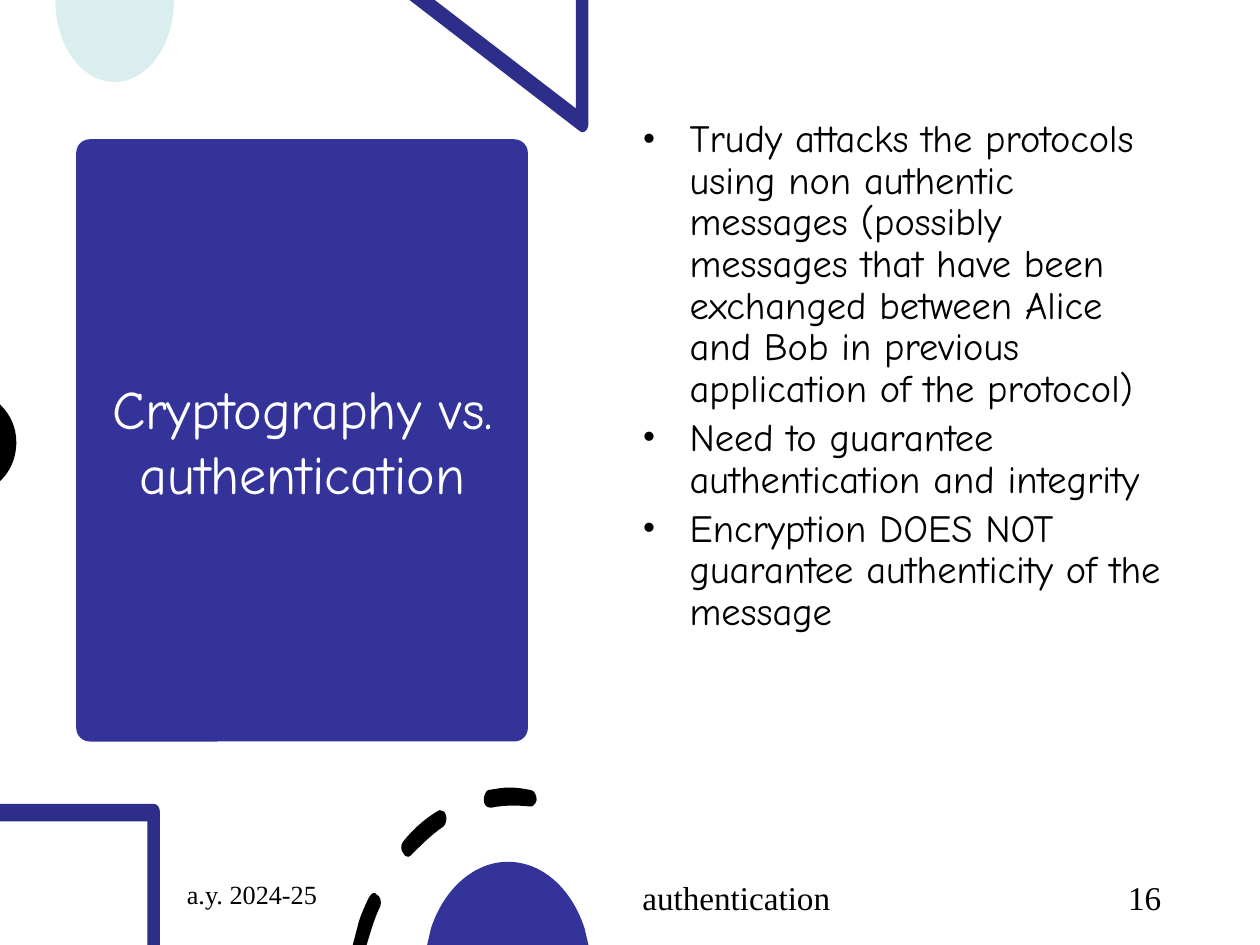
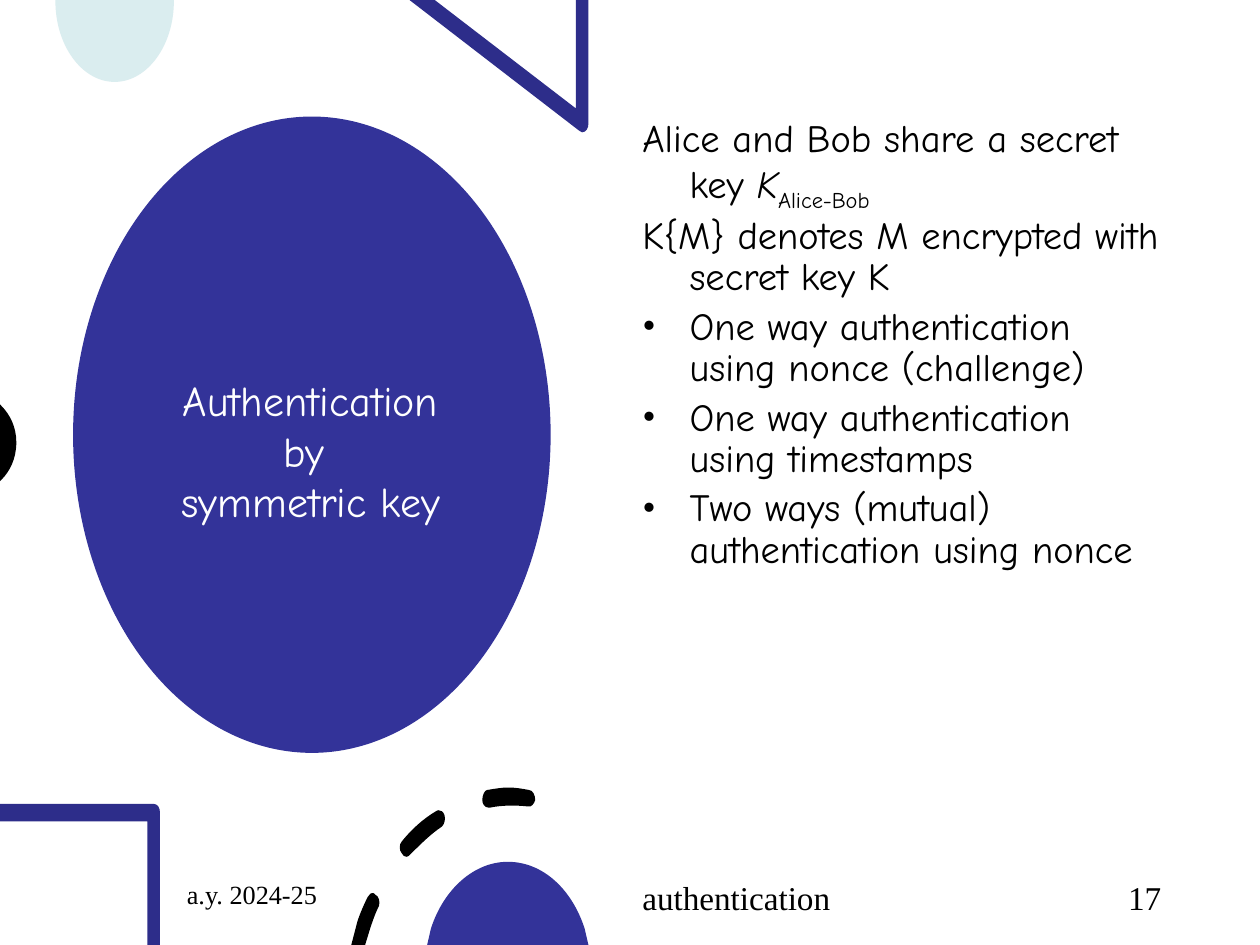
import pptx
import pptx.dml.color
import pptx.enum.shapes
import pptx.enum.text
import pptx.util
from lxml import etree
from pptx.oxml.ns import qn

SHAPE = pptx.enum.shapes.MSO_SHAPE
ANCHOR = pptx.enum.text.MSO_ANCHOR
ALIGN = pptx.enum.text.PP_ALIGN

# Theme: colours, fonts and type sizes
THEME = {
    "panel": "333399", "frame": "2D2D8A", "mint": "DAEDEF",
    "ink": "000000", "light": "FFFFFF",
    "text": "Comic Neue", "footer": "Times New Roman",
    "body_size": 22, "date_size": 15, "footer_size": 19,
}

# Grid: 100 columns by 75 rows of square cells; all lengths are in cells
prs = pptx.Presentation()
prs.slide_width, prs.slide_height = pptx.util.Inches(10), pptx.util.Inches(7.5)
COLS, ROWS = 100, 75
CELL = prs.slide_width // COLS
HANG = 3.75
FOOT_TOP, FOOT_H = 69.5, 4
BODY_LEFT, BODY_W = 50, 43.1

# Outlines: a pair is a line to a point, six numbers are a Bezier curve
MINT_DROP = [[(13.8, 0), (4.4, 0), (4.4, .1), (4.4, 3.6, 6.5, 6.5, 9.1, 6.5),
              (11.7, 6.5, 13.8, 3.6, 13.8, .1)]]
TRIANGLE = [[(46.7, 0), (45.7, 0), (45.7, 8.6), (34.5, 0), (32.5, 0), (46, 10.4),
             (46.1, 10.5, 46.1, 10.5, 46.2, 10.5), (46.5, 10.5, 46.7, 10.2, 46.7, 9.8)]]
EDGE_DOT = [[(0, 32.1), (0, 38.2), (.1, 38.1), (.8, 37.4, 1.3, 36.4, 1.3, 35.1),
             (1.3, 33.9, .8, 32.9, .1, 32.2)]]
CORNER = [[(12.2, 63.8), (0, 63.8), (0, 65.2), (11.7, 65.2), (11.7, ROWS), (12.7, ROWS),
           (12.7, 64.5), (12.7, 64.1, 12.5, 63.8, 12.2, 63.8)]]
DISC = [[(40.3, 68.4), (37.6, 68.4, 35.2, 70.6, 34.2, 73.7), (33.9, ROWS), (46.7, ROWS),
         (46.4, 73.7), (45.4, 70.6, 43.1, 68.4, 40.3, 68.4)]]
DASHES = [
    [(29.8, 70.9), (29.6, 70.8, 29.4, 71, 29.3, 71.2), (29, 71.8, 28.7, 72.5, 28.5, 73.1),
     (28, ROWS), (29.1, ROWS), (29.5, 73.7), (29.7, 73.1, 29.9, 72.5, 30.2, 71.9),
     (30.3, 71.6, 30.2, 71.1, 29.9, 71), (29.9, 70.9, 29.8, 70.9, 29.8, 70.9)],
    [(34.9, 64.3), (34.8, 64.3, 34.8, 64.3, 34.7, 64.4), (33.7, 65, 32.8, 65.8, 32, 66.8),
     (31.8, 67, 31.8, 67.5, 32, 67.7), (32.1, 67.9, 32.2, 68, 32.4, 68), (32.4, 68),
     (32.5, 68, 32.6, 67.9, 32.7, 67.8), (33.5, 67, 34.3, 66.2, 35.2, 65.6),
     (35.4, 65.4, 35.5, 65, 35.4, 64.7), (35.3, 64.4, 35.1, 64.3, 34.9, 64.3)],
    [(40.5, 62.5), (39.9, 62.5, 39.4, 62.6, 38.8, 62.7), (38.6, 62.7, 38.4, 63.1, 38.4, 63.5),
     (38.4, 63.8, 38.6, 64.1, 38.9, 64.1), (38.9, 64.1, 39, 64.1, 39, 64.1),
     (40, 63.9, 41, 63.9, 42, 64), (42.3, 64.1, 42.5, 63.8, 42.6, 63.5),
     (42.6, 63.1, 42.4, 62.7, 42.1, 62.7), (42.1, 62.7, 42.1, 62.7, 42.1, 62.7),
     (41.6, 62.6, 41, 62.5, 40.5, 62.5)],
]
DECOR = [(MINT_DROP, "mint"), (TRIANGLE, "frame"), (EDGE_DOT, "ink"),
         (CORNER, "frame"), (DASHES, "ink"), (DISC, "panel")]

# Slides: a paragraph is (bulleted, runs); a run is (text, format)
SLIDES = [
    {"panel": (SHAPE.ROUNDED_RECTANGLE, (6.05, 11.05, 35.85, 47.8)),
     "title": ("Cryptography vs. authentication", (7.85, 12.15, 32.3, 45.6), 31),
     "number": "16", "dash_shift": 0,
     "body": [
         (True, [("Trudy attacks the protocols using non authentic messages (possibly "
                  "messages that have been exchanged between Alice and Bob in previous "
                  "application of the protocol)", {})]),
         (True, [("Need to guarantee authentication and integrity", {})]),
         (True, [("Encryption DOES NOT guarantee authenticity of the message", {})])]},
    {"panel": (SHAPE.OVAL, (5.8, 9.25, 37.9, 50.5)),
     "title": ("Authentication by \nsymmetric key", (11.45, 13.5, 26.4, 44.5), 24),
     "number": "17", "dash_shift": -.12,
     "body": [
         (False, [("Alice and Bob share a secret \nkey ", {}), ("K", {"italic": True}),
                  ("Alice-Bob", {"baseline": -25000})]),
         (False, [("K{M} denotes M encrypted with secret key K", {})]),
         (True, [("One way authentication using nonce (challenge)", {})]),
         (True, [("One way authentication using timestamps", {})]),
         (True, [("Two ways (mutual) authentication using nonce", {})])]},
]


def add_outline(s, contours, colour, shift=0):
    """Draw closed contours as one filled shape with true Bezier curves."""
    contours = [[[round((v + (0 if k % 2 else shift)) * CELL) for k, v in enumerate(seg)]
                 for seg in contour] for contour in contours]
    fb = s.shapes.build_freeform(*contours[0][0])
    for i, (start, *segs) in enumerate(contours):
        if i:
            fb.move_to(*start)
        fb.add_line_segments([seg[-2:] for seg in segs], close=True)
    sp = fb.convert_to_shape()
    # Turn the lines that stand for curves into curves
    lines = list(sp._element.iter(qn("a:lnTo")))
    for line, seg in zip(lines, [seg for contour in contours for seg in contour[1:]]):
        if len(seg) == 6:
            curve = etree.Element(qn("a:cubicBezTo"))
            for x, y in zip(seg[::2], seg[1::2]):
                etree.SubElement(curve, qn("a:pt"), x=str(x - sp.left), y=str(y - sp.top))
            line.getparent().replace(line, curve)
    sp.shadow.inherit = False
    sp.fill.solid()
    sp.fill.fore_color.rgb = pptx.dml.color.RGBColor.from_string(THEME[colour])
    sp.line.fill.background()


def add_text(s, box, paragraphs, font, size, colour="ink", anchor=ANCHOR.TOP, hang=0, **para):
    """Add a text box; para holds the paragraph format."""
    tf = s.shapes.add_textbox(*(round(v * CELL) for v in box)).text_frame
    tf.word_wrap, tf.vertical_anchor = True, anchor
    for i, (bulleted, runs) in enumerate(paragraphs):
        p = tf.add_paragraph() if i else tf.paragraphs[0]
        pPr = p._p.get_or_add_pPr()
        if hang:
            pPr.set("marL", str(round(hang * CELL)))
            pPr.set("indent", str(-round(hang * CELL)))
        if bulleted:
            clr = etree.SubElement(pPr, qn("a:buClr"))
            etree.SubElement(clr, qn("a:srgbClr"), val=THEME[colour])
            etree.SubElement(pPr, qn("a:buFont"), typeface=THEME["footer"])
            etree.SubElement(pPr, qn("a:buChar"), char="•")
        for key, value in para.items():
            if i or key != "space_before":
                setattr(p, key, value)
        for text, extra in runs:
            for n, line in enumerate(text.split("\n")):
                if n:
                    p.add_line_break()
                r = p.add_run()
                r.text = line
                fmt = {"name": THEME[font], "size": pptx.util.Pt(size), **extra}
                baseline = fmt.pop("baseline", None)
                for key, value in fmt.items():
                    setattr(r.font, key, value)
                r.font.color.rgb = pptx.dml.color.RGBColor.from_string(THEME[colour])
                if baseline:
                    r._r.get_or_add_rPr().set("baseline", str(baseline))


for page in SLIDES:
    s = prs.slides.add_slide(prs.slide_layouts[6])

    # Title panel
    kind, box = page["panel"]
    sp = s.shapes.add_shape(kind, *(round(v * CELL) for v in box))
    sp.shadow.inherit = False
    sp.fill.solid()
    sp.fill.fore_color.rgb = pptx.dml.color.RGBColor.from_string(THEME["panel"])
    sp.line.fill.background()
    if kind == SHAPE.ROUNDED_RECTANGLE:
        sp.adjustments[0] = .03
    title, box, size = page["title"]
    add_text(s, box, [(False, [(title, {})])], "text", size, "light",
             ANCHOR.MIDDLE, alignment=ALIGN.CENTER)

    # Decoration at the slide edges
    for contours, colour in DECOR:
        add_outline(s, contours, colour, page["dash_shift"] if contours is DASHES else 0)

    # Body
    add_text(s, (BODY_LEFT, 9, BODY_W, 53.5), page["body"], "text",
             THEME["body_size"], hang=HANG, line_spacing=.9,
             space_before=pptx.util.Pt(4.4))

    # Footer: date, topic, slide number
    for left, width, text, size, align in (
            (13.85, 12.7, "a.y. 2024-25", "date_size", ALIGN.LEFT),
            (BODY_LEFT, 35.3, "authentication", "footer_size", ALIGN.LEFT),
            (86.15, 7, page["number"], "footer_size", ALIGN.RIGHT)):
        add_text(s, (left, FOOT_TOP, width, FOOT_H), [(False, [(text, {})])], "footer",
                 THEME[size], alignment=align, line_spacing=.9)

prs.save("out.pptx")
